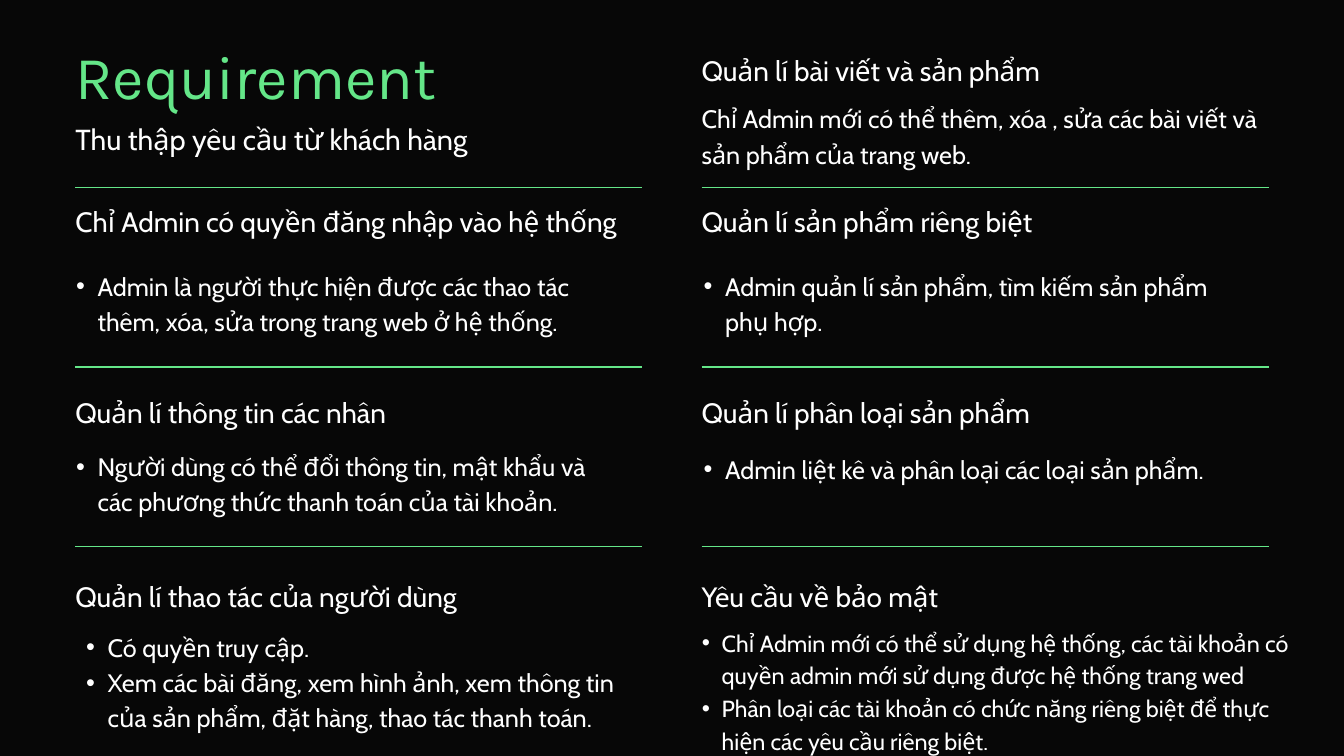
from lxml.etree import SubElement
from pptx import Presentation
from pptx.dml.color import RGBColor
from pptx.enum.shapes import MSO_CONNECTOR as Connector
from pptx.enum.text import MSO_ANCHOR as Anchor, MSO_AUTO_SIZE as AutoSize, PP_ALIGN as Align
from pptx.oxml.ns import qn
from pptx.util import Cm, Pt

COLORS = {"background": "070707", "green": "64E688", "white": "FFFFFF"}
COLUMNS = [2.85, 26.52]
COLUMN_WIDTH = 21.43
RULES = [7.09, 13.87, 20.65]


def fill_text(box, lines, size, spacing, font="Cabin", color="white", indent=None):
    frame = box.text_frame
    frame.margin_left = frame.margin_top = frame.margin_right = frame.margin_bottom = 0
    frame.word_wrap = True
    frame.auto_size = AutoSize.NONE
    frame.vertical_anchor = Anchor.TOP
    for number, line in enumerate(lines):
        para = frame.paragraphs[0] if number == 0 else frame.add_paragraph()
        para.alignment = Align.LEFT
        para.line_spacing = Pt(spacing)
        para.space_before = Pt(0)
        if indent:
            para.level = 1
            properties = para._p.get_or_add_pPr()
            properties.set("marL", str(Cm(indent)))
            properties.set("indent", str(-Cm(indent / 2)))
            SubElement(properties, qn("a:buFont"), typeface="Arial")
            SubElement(properties, qn("a:buChar"), char="•")
        span = para.add_run()
        span.text = line
        span.font.name = font
        span.font.size = Pt(size)
        span.font.bold = False
        span.font.color.rgb = RGBColor.from_string(COLORS[color])


def add_text(left, top, width, height, lines, size, spacing, indent=None):
    box = page.shapes.add_textbox(Cm(left), Cm(top), Cm(width), Cm(height))
    fill_text(box, lines, size, spacing, indent=indent)


deck = Presentation()
deck.slide_width, deck.slide_height = Cm(50.8), Cm(28.58)
page = deck.slides.add_slide(deck.slide_layouts[5])
page.background.fill.solid()
page.background.fill.fore_color.rgb = RGBColor.from_string(COLORS["background"])

# Title and subtitle
title = page.shapes.title
title.left, title.top, title.width, title.height = Cm(2.85), Cm(1.47), Cm(17.63), Cm(2.74)
fill_text(title, ["Requirement"], 65.4, 78.4, "Karla", "green")
add_text(2.85, 4.6, 17.63, 1.3, ["Thu thập yêu cầu từ khách hàng"], 31, 37.2)

# Rules between the rows
for left in COLUMNS:
    for top in RULES:
        rule = page.shapes.add_connector(
            Connector.STRAIGHT, Cm(left), Cm(top), Cm(left + COLUMN_WIDTH), Cm(top))
        rule.line.color.rgb = RGBColor.from_string(COLORS["green"])
        rule.line.width = Pt(1.5)
        SubElement(rule._element.spPr, qn("a:effectLst"))

# Section headings: column, top, text
headings = [
    (0, 7.52, "Chỉ Admin có quyền đăng nhập vào hệ thống"),
    (0, 14.73, "Quản lí thông tin các nhân"),
    (0, 21.69, "Quản lí thao tác của người dùng"),
    (1, 1.83, "Quản lí bài viết và sản phẩm"),
    (1, 7.52, "Quản lí sản phẩm riêng biệt"),
    (1, 14.73, "Quản lí phân loại sản phẩm"),
    (1, 21.69, "Yêu cầu về bảo mật"),
]
for column, top, text in headings:
    add_text(COLUMNS[column], top, COLUMN_WIDTH, 1.37, [text], 30, 42)

# Section bodies: left, top, width, height, lines, size, spacing, indent
bodies = [
    (26.52, 3.73, 22.33, 2.59,
     ["Chỉ Admin mới có thể thêm, xóa , sửa các bài viết và sản phẩm của trang web."],
     27, 37.8, None),
    (2.06, 10.06, 21.43, 2.59,
     ["Admin là người thực hiện được các thao tác thêm, xóa, sửa trong trang web ở hệ thống."],
     27, 37.8, 1.63),
    (25.78, 10.06, 21.43, 2.59,
     ["Admin quản lí sản phẩm, tìm kiếm sản phẩm phụ hợp."],
     27, 37.8, 1.63),
    (2.06, 16.87, 21.43, 2.59,
     ["Người dùng có thể đổi thông tin, mật khẩu và các phương thức thanh toán của tài khoản."],
     27, 37.8, 1.63),
    (25.78, 16.97, 21.43, 1.27,
     ["Admin liệt kê và phân loại các loại sản phẩm."],
     27, 37.8, 1.63),
    (2.44, 23.7, 22.28, 3.91,
     ["Có quyền truy cập.",
      "Xem các bài đăng, xem hình ảnh, xem thông tin của sản phẩm, đặt hàng, "
      "thao tác thanh toán."],
     27, 37.8, 1.63),
    (25.78, 23.6, 23.8, 4.83,
     ["Chỉ Admin mới có thể sử dụng hệ thống, các tài khoản có quyền admin "
      "mới sử dụng được hệ thống trang wed",
      "Phân loại các tài khoản có chức năng riêng biệt để thực hiện các yêu cầu riêng biệt."],
     25, 35, 1.5),
]
for body in bodies:
    add_text(*body)

deck.save("out.pptx")
